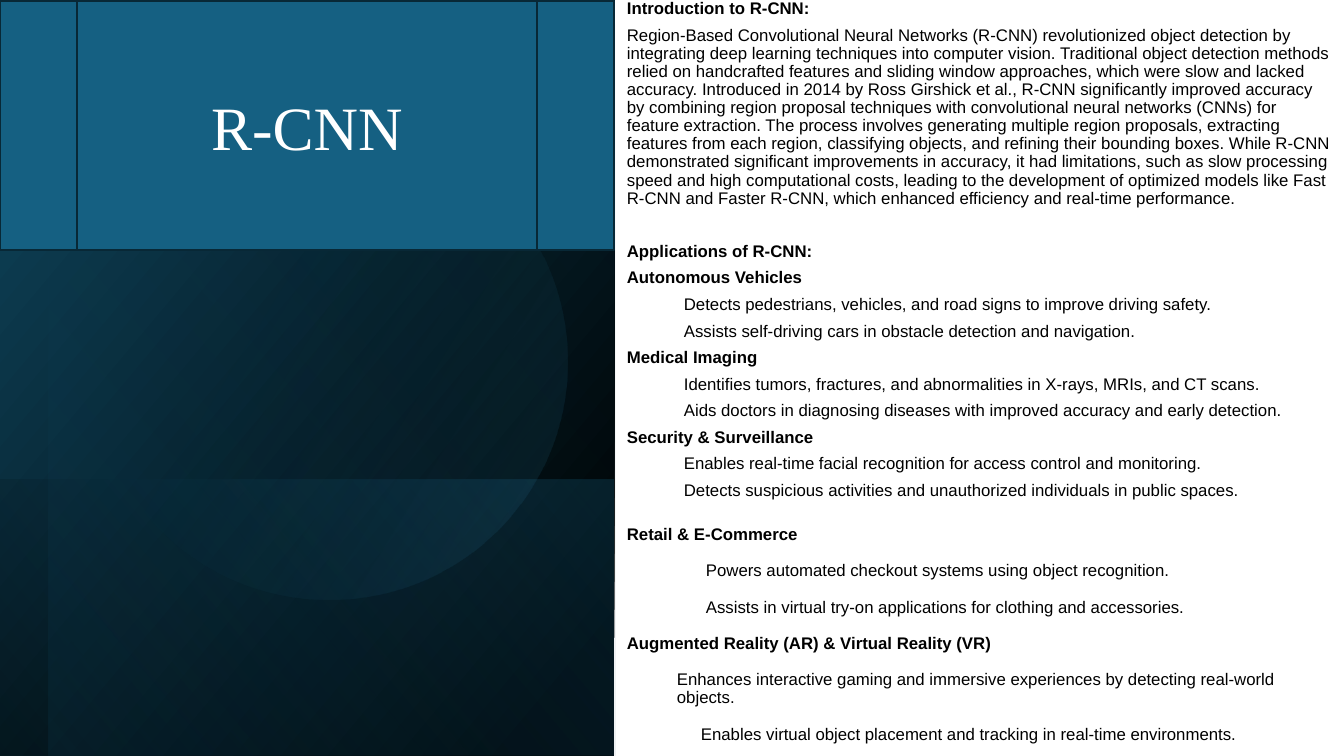
from dataclasses import dataclass

from lxml import etree
from pptx import Presentation
from pptx import util as u
from pptx.dml.color import RGBColor
from pptx.enum import shapes, text
from pptx.oxml import ns
from pptx.shapes.autoshape import Shape
from pptx.slide import Slide
from pptx.text.text import TextFrame

EMU_PER_PX = 914400 / 100.8
BLACK = RGBColor(0x00, 0x00, 0x00)
WHITE = RGBColor(0xFF, 0xFF, 0xFF)
DEEP_BLUE = RGBColor(0x0F, 0x48, 0x61)
BLUE = RGBColor(0x15, 0x60, 0x82)
LIGHT_BLUE = RGBColor(0x43, 0xAF, 0xE2)
NAVY = RGBColor(0x08, 0x28, 0x36)


@dataclass(frozen=True)
class Stop:
    position: int
    color: RGBColor
    opacity: int = 100


@dataclass(frozen=True)
class Panel:
    left: int
    top: int
    width: int
    height: int
    angle: int
    stops: tuple[Stop, ...]
    preset: shapes.MSO_SHAPE = shapes.MSO_SHAPE.RECTANGLE
    rotation: float = 90
    flipped: bool = True


@dataclass(frozen=True)
class Line:
    content: str
    bold: bool = False
    indent: int = 0
    before: float = 6


PANELS = (
    Panel(-71, 71, 756, 615, 50, (Stop(0, BLACK), Stop(8, BLACK), Stop(100, DEEP_BLUE))),
    Panel(168, 310, 276, 615, 130, (Stop(0, BLUE, 28), Stop(2, BLUE, 28), Stop(100, BLACK, 29))),
    Panel(-46, 94, 756, 567, 130, (Stop(0, BLACK, 0), Stop(99, BLUE, 11), Stop(100, BLUE, 11))),
    Panel(91, 124, 476, 476, 290, (Stop(0, BLUE, 0), Stop(39, BLUE, 0), Stop(100, LIGHT_BLUE, 15)),
          shapes.MSO_SHAPE.OVAL, 101.6, False),
)

INTRODUCTION = (
    "Region-Based Convolutional Neural Networks (R-CNN) revolutionized object detection by "
    "integrating deep learning techniques into computer vision.",
    "Traditional object detection methods relied on handcrafted features and sliding window "
    "approaches, which were slow and lacked accuracy.",
    "Introduced in 2014 by Ross Girshick et al., R-CNN significantly improved accuracy by "
    "combining region proposal techniques with convolutional neural networks (CNNs) for "
    "feature extraction.",
    "The process involves generating multiple region proposals, extracting features from each "
    "region, classifying objects, and refining their bounding boxes.",
    "While R-CNN demonstrated significant improvements in accuracy, it had limitations, such as "
    "slow processing speed and high computational costs, leading to the development of optimized "
    "models like Fast R-CNN and Faster R-CNN, which enhanced efficiency and real-time performance.",
)

LINES = (
    Line("Introduction to R-CNN:", bold=True, before=0),
    Line(" ".join(INTRODUCTION)),
    Line("Applications of R-CNN:", bold=True, before=25),
    Line("Autonomous Vehicles", bold=True),
    Line("Detects pedestrians, vehicles, and road signs to improve driving safety.", indent=57),
    Line("Assists self-driving cars in obstacle detection and navigation.", indent=57),
    Line("Medical Imaging", bold=True),
    Line("Identifies tumors, fractures, and abnormalities in X-rays, MRIs, and CT scans.", indent=57),
    Line("Aids doctors in diagnosing diseases with improved accuracy and early detection.", indent=57),
    Line("Security & Surveillance", bold=True),
    Line("Enables real-time facial recognition for access control and monitoring.", indent=57),
    Line("Detects suspicious activities and unauthorized individuals in public spaces.", indent=57),
    Line("Retail & E-Commerce", bold=True, before=18.5),
    Line("Powers automated checkout systems using object recognition.", indent=79, before=13),
    Line("Assists in virtual try-on applications for clothing and accessories.", indent=79, before=13),
    Line("Augmented Reality (AR) & Virtual Reality (VR)", bold=True, before=13),
    Line("Enhances interactive gaming and immersive experiences by detecting real-world objects.",
         indent=50, before=13),
    Line("Enables virtual object placement and tracking in real-time environments.", indent=74, before=13),
)


def px(length: int) -> u.Emu:
    return u.Emu(round(length * EMU_PER_PX))


def set_gradient(shape: Shape, angle: int, stops: tuple[Stop, ...]) -> None:
    shape.fill.background()
    no_fill = shape.element.spPr.find(ns.qn("a:noFill"))
    gradient = etree.Element(ns.qn("a:gradFill"), rotWithShape="1")
    stop_list = etree.SubElement(gradient, ns.qn("a:gsLst"))
    for stop in stops:
        node = etree.SubElement(stop_list, ns.qn("a:gs"), pos=str(stop.position * 1000))
        color = etree.SubElement(node, ns.qn("a:srgbClr"), val=str(stop.color))
        etree.SubElement(color, ns.qn("a:alpha"), val=str(stop.opacity * 1000))
    etree.SubElement(gradient, ns.qn("a:lin"), ang=str(angle * 60000), scaled="0")
    shape.element.spPr.replace(no_fill, gradient)


def add_panel(slide: Slide, panel: Panel) -> None:
    shape = slide.shapes.add_shape(
        panel.preset, px(panel.left), px(panel.top), px(panel.width), px(panel.height))
    shape.shadow.inherit = False
    shape.rotation = panel.rotation
    if panel.flipped:
        shape.element.spPr.find(ns.qn("a:xfrm")).set("flipH", "1")
    set_gradient(shape, panel.angle, panel.stops)
    shape.line.fill.background()


def add_line(frame: TextFrame, line: Line, first: bool) -> None:
    paragraph = frame.paragraphs[0] if first else frame.add_paragraph()
    paragraph.text = line.content
    paragraph.line_spacing = 0.9
    paragraph.space_before = u.Pt(line.before)
    if line.indent:
        paragraph.level = 1
        properties = paragraph._p.get_or_add_pPr()
        properties.set("marL", str(px(line.indent)))
        properties.set("indent", "0")
    font = paragraph.runs[0].font
    font.name = "Arial"
    font.size = u.Pt(12)
    font.bold = line.bold
    font.color.rgb = BLACK


def add_body(slide: Slide) -> None:
    frame = slide.shapes.add_textbox(px(617), px(0), px(727), px(756)).text_frame
    frame.word_wrap = True
    frame.vertical_anchor = text.MSO_ANCHOR.TOP
    frame.margin_top = frame.margin_bottom = 0
    for index, line in enumerate(LINES):
        add_line(frame, line, index == 0)


def add_title(slide: Slide) -> None:
    bounds = px(0), px(1), px(614), px(249)
    banner = slide.shapes.add_shape(shapes.MSO_SHAPE.FLOWCHART_PREDEFINED_PROCESS, *bounds)
    banner.shadow.inherit = False
    banner.fill.solid()
    banner.fill.fore_color.rgb = BLUE
    banner.line.color.rgb = NAVY
    banner.line.width = u.Pt(1.5)

    title = slide.shapes.title
    title.left, title.top, title.width, title.height = bounds
    frame = title.text_frame
    frame.text = "R-CNN"
    frame.vertical_anchor = text.MSO_ANCHOR.MIDDLE
    paragraph = frame.paragraphs[0]
    paragraph.alignment = text.PP_ALIGN.CENTER
    font = paragraph.runs[0].font
    font.name = "Times New Roman"
    font.size = u.Pt(44)
    font.color.rgb = WHITE
    slide.shapes.element.append(title.element)


def main() -> None:
    presentation = Presentation()
    presentation.slide_width = px(1344)
    presentation.slide_height = px(756)
    slide = presentation.slides.add_slide(presentation.slide_layouts[5])
    for panel in PANELS:
        add_panel(slide, panel)
    add_body(slide)
    add_title(slide)
    presentation.save("out.pptx")


if __name__ == "__main__":
    main()
